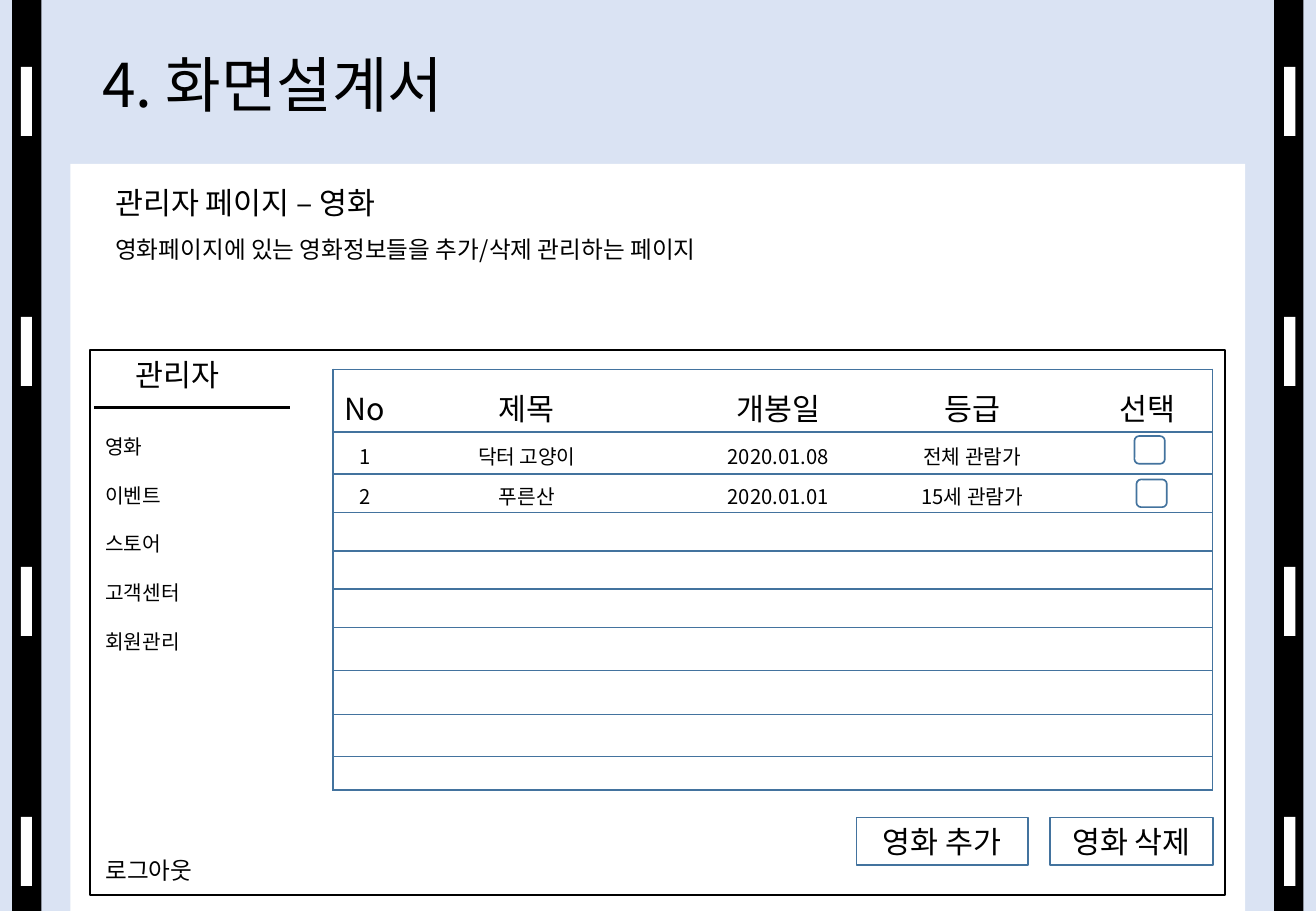
from lxml import etree
from pptx import Presentation
from pptx.dml.color import RGBColor
from pptx.enum import shapes, text
from pptx.oxml import ns
from pptx.util import Pt

COLORS = {"background": "DAE3F3", "black": "000000", "white": "FFFFFF", "blue": "43739E"}
FONT = "Noto Sans CJK KR"

presentation = Presentation()
presentation.slide_width = Pt(780)
presentation.slide_height = Pt(540)
slide = presentation.slides.add_slide(presentation.slide_layouts[6])
slide.background.fill.solid()
slide.background.fill.fore_color.rgb = RGBColor.from_string(COLORS["background"])


def add_box(left, top, width, height, fill="white", line=None, kind="RECTANGLE"):
    shape = slide.shapes.add_shape(
        shapes.MSO_SHAPE[kind], Pt(left), Pt(top), Pt(width), Pt(height))
    shape.shadow.inherit = False
    shape.fill.solid()
    shape.fill.fore_color.rgb = RGBColor.from_string(COLORS[fill])
    if line:
        shape.line.color.rgb = RGBColor.from_string(COLORS[line])
        shape.line.width = Pt(1)
    else:
        shape.line.fill.background()
    return shape


def write(frame, lines, size, font=FONT, align="LEFT"):
    frame.word_wrap = True
    frame.text = "\n".join(lines)
    for paragraph in frame.paragraphs:
        paragraph.alignment = text.PP_ALIGN[align]
        paragraph.font.size = Pt(size)
        paragraph.font.name = font
        paragraph.font.color.rgb = RGBColor.from_string(COLORS["black"])


for strip_left, hole_left in ((7.2, 12.4), (755.2, 761.2)):
    add_box(strip_left, 0, 17.4, 540, "black")
    for index in range(4):
        add_box(hole_left, 39.6 + 148.2 * index, 6.6, 41)

add_box(41.8, 97.2, 696.2, 442.8)
add_box(53.4, 207.4, 672.6, 323.2, line="black")

labels = [
    (53.4, 0, 672.6, 104.4, ["4. 화면설계서"], 35.8, FONT),
    (61.2, 105.8, 283.6, 28.8, ["관리자 페이지 – 영화"], 18, "Arial"),
    (61.2, 135.4, 665.2, 24.4, ["영화페이지에 있는 영화정보들을 추가/삭제 관리하는 페이지"], 14, FONT),
    (73.4, 207.4, 100, 28.8, ["관리자"], 18, FONT),
    (55.4, 254, 116, 140, ["영화", "이벤트", "스토어", "고객센터", "회원관리"], 12, FONT),
    (55.4, 504, 85, 24.4, ["로그아웃"], 14, FONT),
]
for left, top, width, height, lines, size, font in labels:
    frame = slide.shapes.add_textbox(Pt(left), Pt(top), Pt(width), Pt(height)).text_frame
    write(frame, lines, size, font)
    if size > 30:
        frame.vertical_anchor = text.MSO_ANCHOR.MIDDLE
        frame.paragraphs[0].line_spacing = 0.9
    for paragraph in frame.paragraphs[1:]:
        paragraph.space_before = Pt(14.4)
    if len(lines) > 1:
        for paragraph in frame.paragraphs:
            paragraph.line_spacing = Pt(14.4)

divider = slide.shapes.add_connector(
    shapes.MSO_CONNECTOR.STRAIGHT, Pt(55.6), Pt(241.6), Pt(171.8), Pt(241.6))
divider.line.color.rgb = RGBColor.from_string(COLORS["black"])
divider.line.width = Pt(1.75)
etree.SubElement(divider._element.spPr, ns.qn("a:effectLst"))

movies = [
    ["No", "제목", "개봉일", "등급", "선택"],
    ["1", "닥터 고양이", "2020.01.08", "전체 관람가", ""],
    ["2", "푸른산", "2020.01.01", "15세 관람가", ""],
] + [[""] * 5] * 7
column_widths = [38, 154, 144, 86, 99.4]
row_heights = [37.2, 25, 22.8, 22.8, 22.6, 22.8, 25.4, 26, 25, 20]
table = slide.shapes.add_table(
    len(movies), len(column_widths), Pt(197.3), Pt(218.9),
    Pt(sum(column_widths)), Pt(sum(row_heights))).table
table.first_row = False
table.horz_banding = False
for column, width in zip(table.columns, column_widths):
    column.width = Pt(width)
last_column = len(column_widths) - 1
for row_index, (row, height, values) in enumerate(zip(table.rows, row_heights, movies)):
    row.height = Pt(height)
    for column_index, (cell, value) in enumerate(zip(row.cells, values)):
        header = row_index == 0
        cell.margin_left = Pt(22 if column_index == last_column else 0)
        cell.margin_right = cell.margin_bottom = 0
        cell.margin_top = Pt(8 if header else 3 if value else 0)
        cell.vertical_anchor = text.MSO_ANCHOR.MIDDLE
        write(cell.text_frame, [value], 18 if header else 12, align="CENTER")
        visible = {"lnL": column_index == 0, "lnR": column_index == last_column,
                   "lnT": True, "lnB": True}
        properties = cell._tc.get_or_add_tcPr()
        for side, shown in visible.items():
            border = etree.SubElement(properties, ns.qn("a:" + side), w=str(Pt(1)))
            if shown:
                fill = etree.SubElement(border, ns.qn("a:solidFill"))
                etree.SubElement(fill, ns.qn("a:srgbClr"), val=COLORS["blue"])
            else:
                etree.SubElement(border, ns.qn("a:noFill"))
        cell.fill.solid()
        cell.fill.fore_color.rgb = RGBColor.from_string(COLORS["white"])

for left, top in ((672.4, 258.5), (673.6, 284.2)):
    add_box(left, top, 18, 16.4, line="blue", kind="ROUNDED_RECTANGLE")

for left, width, caption in ((507.6, 101.6, "영화 추가"), (622.4, 96.4, "영화 삭제")):
    button = add_box(left, 484.6, width, 28, line="blue")
    button.text_frame.vertical_anchor = text.MSO_ANCHOR.MIDDLE
    write(button.text_frame, [caption], 18, align="CENTER")

presentation.save("out.pptx")
